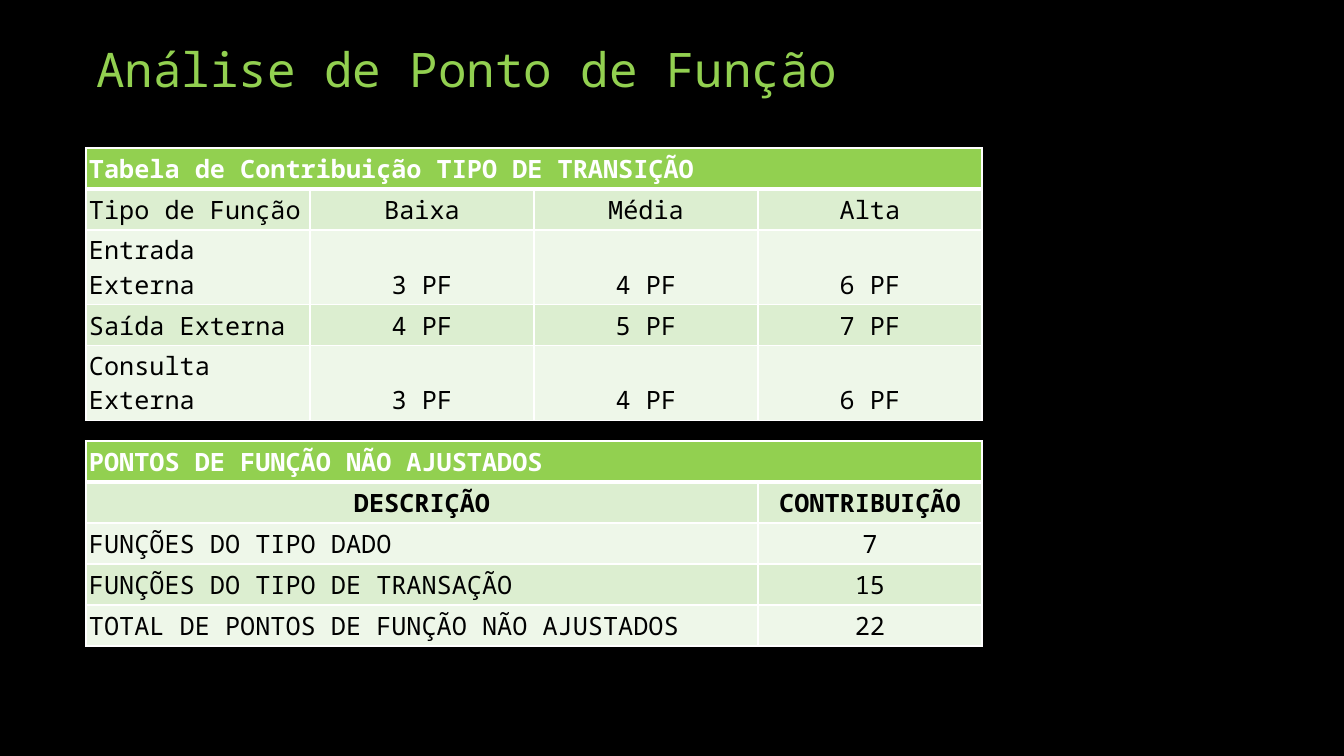
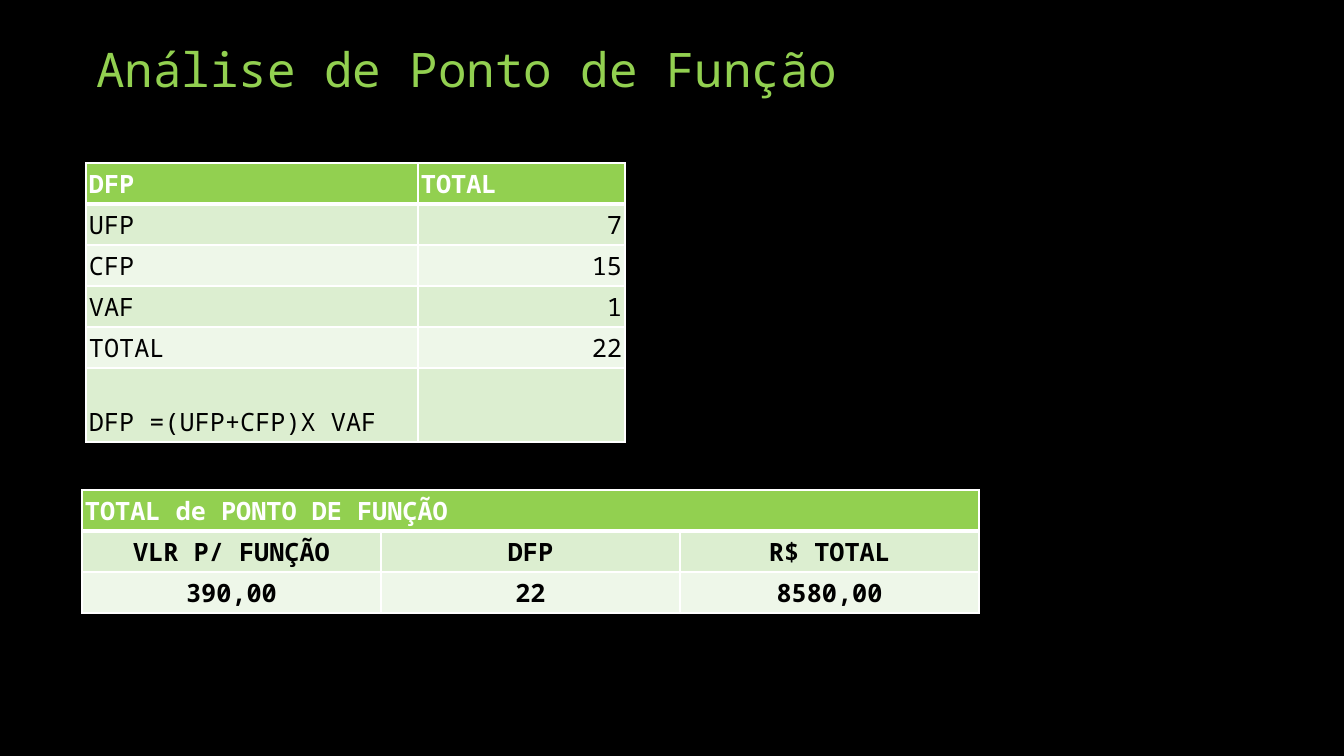
from lxml import etree
from pptx import Presentation
from pptx.dml.color import RGBColor
from pptx.enum.text import MSO_ANCHOR as Anchor, MSO_AUTO_SIZE as AutoSize, PP_ALIGN as Align
from pptx.oxml import parse_xml
from pptx.oxml.ns import nsdecls
from pptx.util import Emu, Pt

SLIDE_WIDTH, SLIDE_HEIGHT = 1344, 756
EMU_PER_PX = 12192000 / SLIDE_WIDTH

FONT = "Noto Sans Mono"
BLACK, WHITE, GREEN = "000000", "FFFFFF", "92D050"
BANDS = ("DCEED0", "EEF7E9")
TITLE = "Análise de Ponto de Função"

ROW_HEIGHT, TALL_ROW_HEIGHT = 41, 74
CELL_INSET = 3
THIN_LINE, THICK_LINE = 1, 3
ALIGNMENTS = {"l": Align.LEFT, "c": Align.CENTER, "r": Align.RIGHT}


def px(length):
    return Emu(round(length * EMU_PER_PX))


def color(value):
    return RGBColor.from_string(value)


def format_runs(paragraph, size, text_color, bold=False):
    for run in paragraph.runs:
        run.font.name = FONT
        run.font.size = Pt(size)
        run.font.bold = bold
        run.font.color.rgb = color(text_color)


def add_titled_slide(presentation):
    slide = presentation.slides.add_slide(presentation.slide_layouts[5])
    title = slide.shapes.title
    title.left, title.top, title.width, title.height = px(86), px(13), px(1008), px(90)
    frame = title.text_frame
    frame.text = TITLE
    frame.word_wrap = True
    frame.auto_size = AutoSize.NONE
    frame.vertical_anchor = Anchor.BOTTOM
    paragraph = frame.paragraphs[0]
    paragraph.alignment = Align.LEFT
    paragraph.line_spacing = 0.9
    format_runs(paragraph, 34, GREEN)
    return slide


def set_borders(cell, top, bottom):
    """Draw white borders; top and bottom are widths in points."""
    properties = cell._tc.get_or_add_tcPr()
    widths = {"lnL": THIN_LINE, "lnR": THIN_LINE, "lnT": top, "lnB": bottom}
    for tag, width in widths.items():
        line = parse_xml(f'<a:{tag} {nsdecls("a")} w="{Pt(width)}"><a:solidFill/></a:{tag}>')
        etree.SubElement(line[0], line[0].tag.replace("solidFill", "srgbClr"), val=WHITE)
        properties.append(line)


def format_cell(cell, row, alignment, bold):
    is_header = row == 0
    set_borders(cell,
                top=THICK_LINE if row == 1 else THIN_LINE,
                bottom=THICK_LINE if is_header else THIN_LINE)
    cell.fill.solid()
    cell.fill.fore_color.rgb = color(GREEN if is_header else BANDS[(row - 1) % 2])
    cell.margin_left = cell.margin_right = px(CELL_INSET)
    cell.margin_top = cell.margin_bottom = px(CELL_INSET)
    cell.vertical_anchor = Anchor.BOTTOM
    paragraph = cell.text_frame.paragraphs[0]
    paragraph.alignment = alignment
    format_runs(paragraph, 18, WHITE if is_header else BLACK, bold)


def add_banded_table(slide, left, top, widths, rows, alignments, bold_rows=1, tall_rows=()):
    """Add a table; a single text in the first row spans all columns.

    Bold rows below the header are centred, other rows follow alignments.
    """
    heights = [TALL_ROW_HEIGHT if row in tall_rows else ROW_HEIGHT for row in range(len(rows))]
    table = slide.shapes.add_table(len(rows), len(widths), px(left), px(top),
                                   px(sum(widths)), px(sum(heights))).table
    table.first_row = table.horz_banding = False
    for column, width in zip(table.columns, widths):
        column.width = px(width)
    for table_row, height in zip(table.rows, heights):
        table_row.height = px(height)
    if len(rows[0]) == 1:
        table.cell(0, 0).merge(table.cell(0, len(widths) - 1))
    for row, texts in enumerate(rows):
        for column, text in enumerate(texts):
            table.cell(row, column).text_frame.text = text
        bold = row < bold_rows
        for column, letter in enumerate(alignments):
            if row == 0:
                letter = "l"
            elif bold:
                letter = "c"
            format_cell(table.cell(row, column), row, ALIGNMENTS[letter], bold)


def add_function_points_slide(presentation):
    slide = add_titled_slide(presentation)
    add_banded_table(slide, 86, 148, [224] * 4, [
        ["Tabela de Contribuição TIPO DE TRANSIÇÃO"],
        ["Tipo de Função", "Baixa", "Média", "Alta"],
        ["Entrada Externa", "3 PF", "4 PF", "6 PF"],
        ["Saída Externa", "4 PF", "5 PF", "7 PF"],
        ["Consulta Externa", "3 PF", "4 PF", "6 PF"],
    ], "lccc", tall_rows=(2, 4))
    add_banded_table(slide, 86, 441, [672, 224], [
        ["PONTOS DE FUNÇÃO NÃO AJUSTADOS"],
        ["DESCRIÇÃO", "CONTRIBUIÇÃO"],
        ["FUNÇÕES DO TIPO DADO", "7"],
        ["FUNÇÕES DO TIPO DE TRANSAÇÃO", "15"],
        ["TOTAL DE PONTOS DE FUNÇÃO NÃO AJUSTADOS", "22"],
    ], "lc", bold_rows=2)


def add_total_slide(presentation):
    slide = add_titled_slide(presentation)
    add_banded_table(slide, 86, 163, [332, 207], [
        ["DFP", "TOTAL"],
        ["UFP", "7"],
        ["CFP", "15"],
        ["VAF", "1"],
        ["TOTAL", "22"],
        ["DFP =(UFP+CFP)X VAF", ""],
    ], "lr", tall_rows=(5,))
    add_banded_table(slide, 82, 490, [299] * 3, [
        ["TOTAL de PONTO DE FUNÇÃO"],
        ["VLR P/ FUNÇÃO", "DFP", "R$ TOTAL"],
        ["390,00", "22", "8580,00"],
    ], "ccc", bold_rows=3)


def main():
    presentation = Presentation()
    presentation.slide_width, presentation.slide_height = px(SLIDE_WIDTH), px(SLIDE_HEIGHT)
    background = presentation.slide_master.background.fill
    background.solid()
    background.fore_color.rgb = color(BLACK)
    add_function_points_slide(presentation)
    add_total_slide(presentation)
    presentation.save("out.pptx")


if __name__ == "__main__":
    main()
